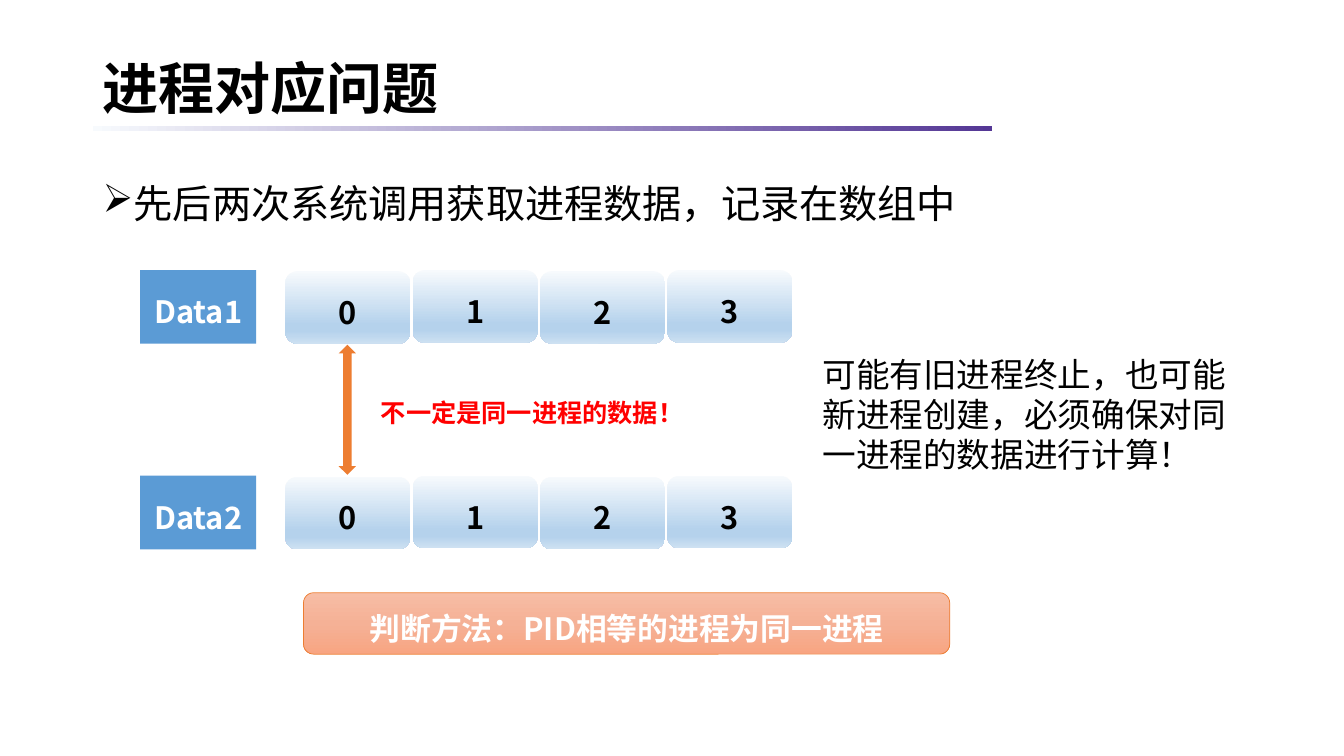
from dataclasses import dataclass
from lxml.etree import SubElement
from pptx import Presentation
from pptx.dml.color import RGBColor as RGB
from pptx.enum.shapes import MSO_SHAPE as SHAPE
from pptx.enum.text import MSO_ANCHOR as ANCHOR, PP_ALIGN as ALIGN
from pptx.oxml.ns import qn
from pptx.util import Inches, Pt


@dataclass(frozen=True)
class Theme:
    black: str = "000000"
    white: str = "FFFFFF"
    red: str = "FF0000"
    blue: str = "5B9BD5"
    orange: str = "ED7D31"
    rule: tuple = ((0, "F7FAFD"), (100, "543795"))
    cell: tuple = ((0, "F7FAFD"), (74, "B5D2EC"), (83, "B5D2EC"), (100, "CEE1F2"))
    peach: tuple = ((0, "F7BDA5"), (50, "F5B196"), (100, "F8A582"))
    serif: str = "Times New Roman"
    sans: str = "Noto Sans CJK SC"
    title: int = 40
    body: int = 28
    note: int = 24
    label: int = 22
    warn: int = 18


def write(shape, text, size, color, face, bold=False, align=ALIGN.LEFT, space=1.0):
    frame = shape.text_frame
    frame.word_wrap = True
    par = frame.paragraphs[0]
    par.text = text
    par.alignment = align
    par.line_spacing = space
    par.font.name = face
    par.font.size = Pt(size)
    par.font.bold = bold
    par.font.color.rgb = RGB.from_string(color)
    return par


def block(kind, box, paint, text="", color="000000", angle=90):
    shape = slide.shapes.add_shape(kind, *map(Inches, box))
    shape.shadow.inherit = False
    shape.line.fill.background()
    if isinstance(paint, str):
        shape.fill.solid()
        shape.fill.fore_color.rgb = RGB.from_string(paint)
    else:
        shape.fill.gradient()
        shape.fill.gradient_angle = angle
        stops = shape._element.spPr.find(qn("a:gradFill")).find(qn("a:gsLst"))
        for old in list(stops):
            stops.remove(old)
        for pos, tone in paint:
            stop = SubElement(stops, qn("a:gs"), pos=str(pos * 1000))
            SubElement(stop, qn("a:srgbClr"), val=tone)
        if angle:
            shape._element.spPr.find(qn("a:gradFill")).find(qn("a:lin")).set("ang", str(angle * 60000))
    if text:
        shape.text_frame.vertical_anchor = ANCHOR.MIDDLE
        write(shape, text, theme.label, color, theme.sans, True, ALIGN.CENTER, 1.25)
    return shape


theme = Theme()
deck = Presentation()
deck.slide_width = Inches(13.33)
deck.slide_height = Inches(7.5)
slide = deck.slides.add_slide(deck.slide_layouts[5])

block(SHAPE.RECTANGLE, (0.92, 1.25, 8.92, 0.05), theme.rule, angle=0)

title = slide.shapes.title
title.left, title.top, title.width, title.height = map(Inches, (0.92, 0.18, 11.5, 1.45))
title.text_frame.vertical_anchor = ANCHOR.MIDDLE
write(title, "进程对应问题", theme.title, theme.black, theme.serif, True, space=0.9)

body = slide.shapes.add_textbox(*map(Inches, (0.92, 1.78, 11.5, 0.6)))
point = write(body, "先后两次系统调用获取进程数据，记录在数组中",
              theme.body, theme.black, theme.serif, space=0.9)
props = point._p.get_or_add_pPr()
props.set("marL", str(Inches(0.25)))
props.set("indent", str(-Inches(0.25)))
bullet = props.makeelement(qn("a:buChar"), {"char": "➢"})
props.find(qn("a:defRPr")).addprevious(bullet)

for name, top in (("Data1", 2.68), ("Data2", 4.72)):
    block(SHAPE.RECTANGLE, (1.39, top, 1.15, 0.73), theme.blue, name, theme.white)
    for i in range(4):
        drop = 0.01 * (1 - i % 2)
        block(SHAPE.ROUNDED_RECTANGLE, (2.83 + 1.263 * i, top + drop, 1.24, 0.72),
              theme.cell, str(i), theme.black)

block(SHAPE.UP_DOWN_ARROW, (3.36, 3.42, 0.17, 1.29), theme.orange)

warn = slide.shapes.add_textbox(*map(Inches, (3.68, 3.89, 3.7, 0.4)))
write(warn, "不一定是同一进程的数据！", theme.warn, theme.red, theme.sans, True)

note = slide.shapes.add_textbox(*map(Inches, (8.06, 3.46, 4.5, 1.31)))
write(note, "可能有旧进程终止，也可能新进程创建，必须确保对同一进程的数据进行计算！",
      theme.note, theme.black, theme.sans)

rule = block(SHAPE.ROUNDED_RECTANGLE, (3.01, 5.88, 6.41, 0.61), theme.peach,
             "判断方法：PID相等的进程为同一进程", theme.white)
rule.line.color.rgb = RGB.from_string(theme.orange)
rule.line.width = Pt(0.5)

deck.save("out.pptx")
